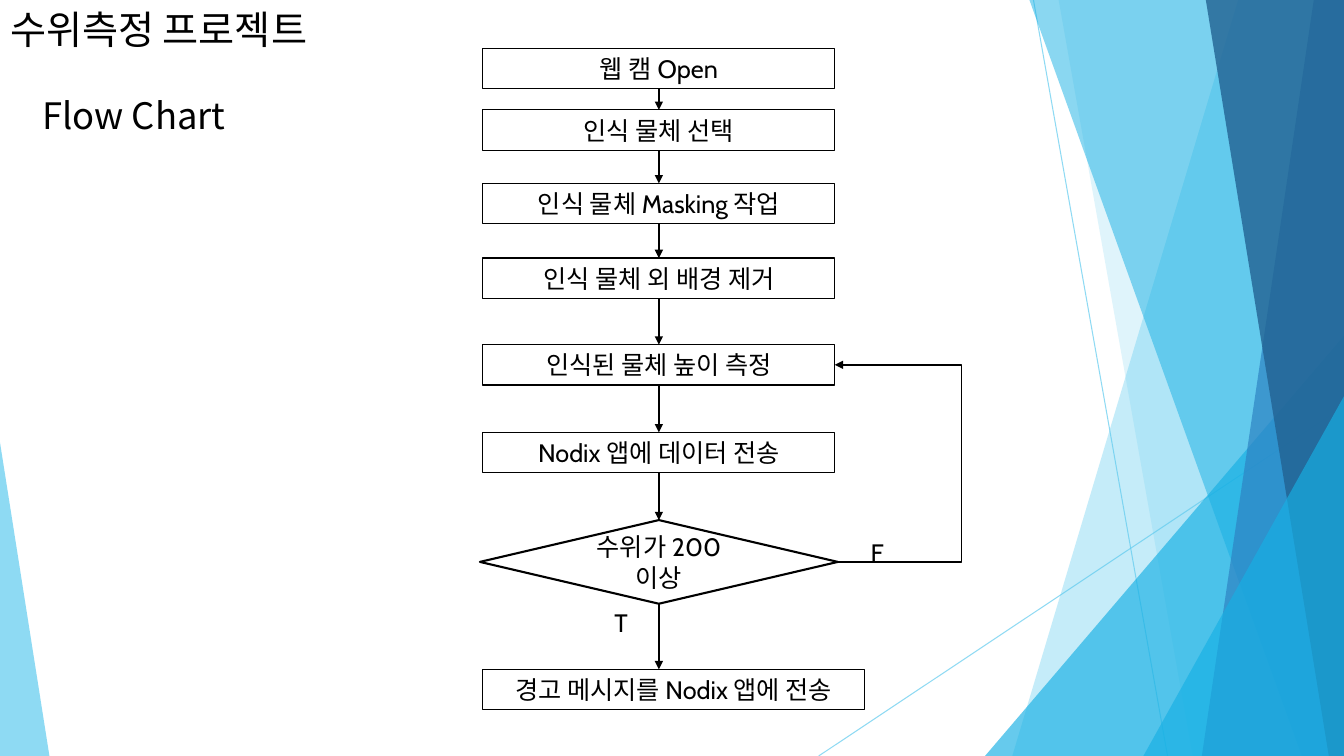
from lxml import etree
from pptx import Presentation
from pptx.dml.color import RGBColor
from pptx.enum.shapes import MSO_CONNECTOR as Link, MSO_SHAPE as Preset
from pptx.enum.text import MSO_ANCHOR as Anchor, MSO_AUTO_SIZE as AutoSize, PP_ALIGN as Align
from pptx.oxml.ns import qn
from pptx.util import Inches, Pt

BLACK = RGBColor(0x00, 0x00, 0x00)
SKY = RGBColor(0x5F, 0xCB, 0xEF)
CYAN = RGBColor(0x17, 0xB0, 0xE4)
BLUE = RGBColor(0x2E, 0x83, 0xC3)
NAVY = RGBColor(0x22, 0x62, 0x92)
LATIN, HANGUL = "Cabin", "Noto Sans CJK KR"
WIDTH, HEIGHT = 13.33, 7.5

TITLE = "수위측정 프로젝트"
SUBTITLE = "Flow Chart"
STEPS = [
    ("웹 캠 Open", 0.48),
    ("인식 물체 선택", 1.09),
    ("인식 물체 Masking 작업", 1.82),
    ("인식 물체 외 배경 제거", 2.56),
    ("인식된 물체 높이 측정", 3.42),
    ("Nodix 앱에 데이터 전송", 4.29),
]
DECISION = "수위가 200 이상"
ALERT = "경고 메시지를 Nodix 앱에 전송"
BRANCHES = [("T", 5.77, 5.98), ("F", 8.31, 5.28)]
MEASURE_STEP = 4
STEP_LEFT, STEP_WIDTH, STEP_HEIGHT = 4.79, 3.49, 0.4
ALERT_TOP, ALERT_WIDTH = 6.64, 3.78
LOOP_X = 9.54

RAYS = [(10.25, 0, 11.58, HEIGHT), (WIDTH, 4.03, 8.12, HEIGHT)]
FACETS = [
    ("band", (12.28, 10.04), SKY, 36),
    ("band", (10.5, 11.83), SKY, 20),
    ("triangle", (9.77, 3.33, 3.56, 4.17, 1), CYAN, 66),
    ("band", (10.21, 12.91), CYAN, 50),
    ("band", (13.03, 11.92), BLUE, 70),
    ("band", (11.96, 13.18), NAVY, 80),
    ("triangle", (11.34, 3.93, 1.99, 3.57, 1), CYAN, 66),
    ("triangle", (0, 4.39, 0.49, 3.11, 0), SKY, 70),
]

deck = Presentation()
deck.slide_width, deck.slide_height = Inches(WIDTH), Inches(HEIGHT)
slide = deck.slides.add_slide(deck.slide_layouts[5])
shapes = slide.shapes


def set_alpha(fill_owner, percent):
    color = next(fill_owner.iter(qn("a:srgbClr")))
    etree.SubElement(color, qn("a:alpha")).set("val", str(percent * 1000))


def write(shape, text, size=18, font=LATIN, align=Align.CENTER, anchor=Anchor.TOP):
    frame = shape.text_frame
    frame.text = text
    frame.word_wrap = True
    frame.auto_size = AutoSize.NONE
    frame.vertical_anchor = anchor
    paragraph = frame.paragraphs[0]
    paragraph.alignment = align
    run = paragraph.runs[0]
    run.font.size = Pt(size)
    run.font.name = font
    run.font.color.rgb = BLACK
    east_asian = etree.Element(qn("a:ea"), typeface=HANGUL)
    run.font._element.find(qn("a:latin")).addnext(east_asian)
    return paragraph


def connect(kind, ends, color, weight, arrow=False):
    connector = shapes.add_connector(kind, *map(Inches, ends))
    connector.line.color.rgb = color
    connector.line.width = Pt(weight)
    properties = connector._element.spPr
    if arrow:
        etree.SubElement(properties.find(qn("a:ln")), qn("a:tailEnd"), type="triangle")
    etree.SubElement(properties, qn("a:effectLst"))
    return connector


def add_node(preset, text, left, top, width, height, weight=0.75, anchor=Anchor.TOP):
    node = shapes.add_shape(preset, *map(Inches, (left, top, width, height)))
    node.shadow.inherit = False
    node.fill.background()
    node.line.color.rgb = BLACK
    node.line.width = Pt(weight)
    write(node, text, anchor=anchor)
    return node


for ray in RAYS:
    set_alpha(connect(Link.STRAIGHT, ray, SKY, 0.75)._element.spPr, 70)

for kind, geometry, color, opacity in FACETS:
    if kind == "band":
        top_x, bottom_x = geometry
        corners = [(WIDTH, 0), (WIDTH, HEIGHT), (bottom_x, HEIGHT)]
        outline = shapes.build_freeform(Inches(top_x), 0)
        outline.add_line_segments([(Inches(x), Inches(y)) for x, y in corners])
        facet = outline.convert_to_shape()
    else:
        facet = shapes.add_shape(Preset.ISOSCELES_TRIANGLE, *map(Inches, geometry[:4]))
        facet.adjustments[0] = geometry[4]
    facet.shadow.inherit = False
    facet.line.fill.background()
    facet.fill.solid()
    facet.fill.fore_color.rgb = color
    set_alpha(facet._element.spPr, opacity)

title = shapes.title
title.left, title.top, title.width, title.height = map(Inches, (0, 0, 3.44, 0.96))
write(title, TITLE, 28, align=Align.LEFT)

subtitle = shapes.add_textbox(*map(Inches, (0.32, 0.79, 12.01, 6.36)))
write(subtitle, SUBTITLE, 26, HANGUL, Align.LEFT).line_spacing = 1.2

nodes = [add_node(Preset.RECTANGLE, text, STEP_LEFT, top, STEP_WIDTH, STEP_HEIGHT)
         for text, top in STEPS]
decision = add_node(Preset.DIAMOND, DECISION, 4.76, 5.16, 3.55, 0.83, 1.5, Anchor.MIDDLE)
nodes.append(decision)
add_node(Preset.RECTANGLE, ALERT, STEP_LEFT, ALERT_TOP, ALERT_WIDTH, STEP_HEIGHT)

for upper, lower in zip(nodes, nodes[1:]):
    arrow = connect(Link.STRAIGHT, (0, 0, 0, 0), BLACK, 1, True)
    arrow.begin_connect(upper, 2)
    arrow.end_connect(lower, 0)

center_x = STEP_LEFT + STEP_WIDTH / 2
true_arrow = connect(Link.STRAIGHT, (center_x, 5.99, center_x, ALERT_TOP), BLACK, 1, True)
true_arrow.begin_connect(decision, 2)

loop = connect(Link.ELBOW, (8.31, 5.58, 8.28, 3.62), BLACK, 1, True)
loop.begin_connect(decision, 3)
loop.end_connect(nodes[MEASURE_STEP], 3)
bend = (loop.begin_x - Inches(LOOP_X)) / (loop.begin_x - loop.end_x)
guides = loop._element.spPr.find(qn("a:prstGeom")).find(qn("a:avLst"))
etree.SubElement(guides, qn("a:gd"), name="adj1", fmla=f"val {round(bend * 100000)}")

for text, left, top in BRANCHES:
    write(shapes.add_textbox(*map(Inches, (left, top, 0.78, 0.4))), text)

deck.save("out.pptx")
